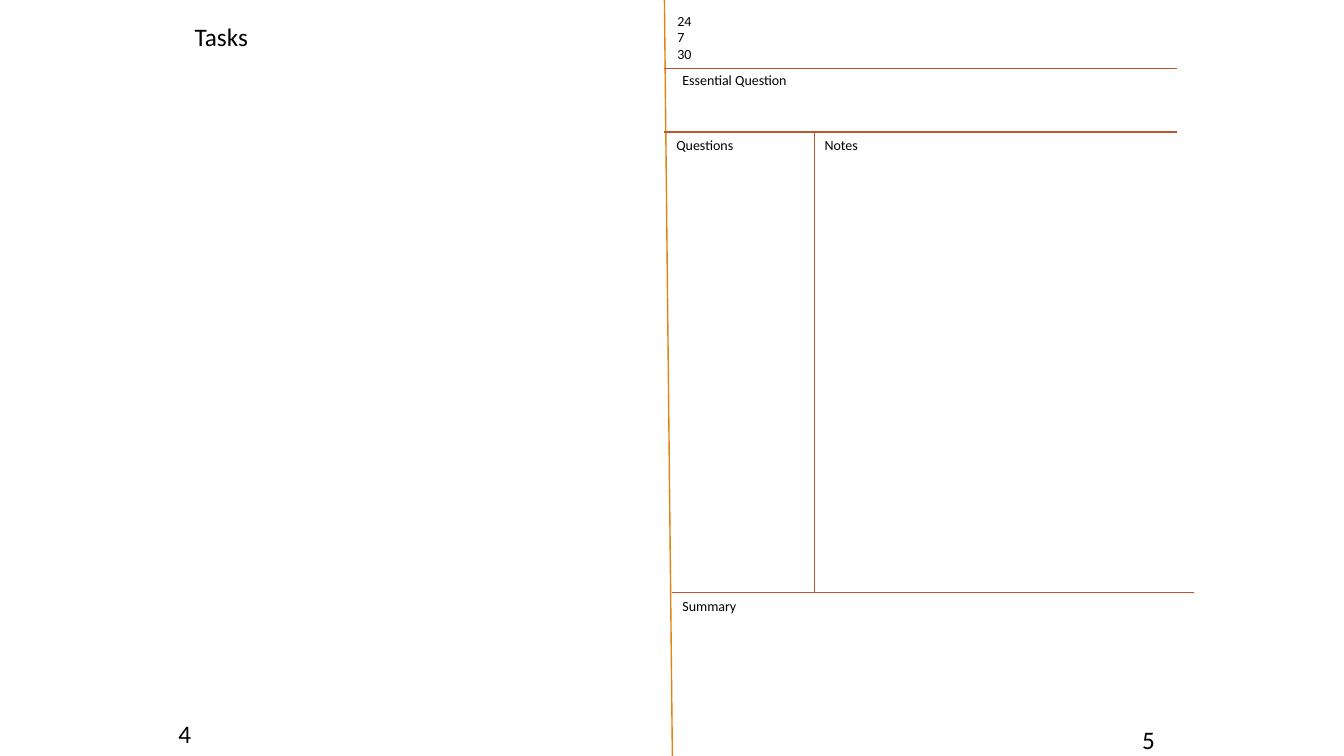
from dataclasses import dataclass

from lxml.etree import SubElement
from pptx import Presentation
from pptx.dml.color import RGBColor
from pptx.enum.shapes import MSO_CONNECTOR
from pptx.enum.text import MSO_ANCHOR, MSO_AUTO_SIZE, PP_ALIGN
from pptx.oxml.ns import qn
from pptx.shapes.base import BaseShape
from pptx.slide import Slide
from pptx.util import Emu, Pt

EMU_PER_PX = 9144  # 100 px to the inch


@dataclass(frozen=True)
class Theme:
    font: str = "Calibri"
    text: RGBColor = RGBColor(0x00, 0x00, 0x00)
    fold: RGBColor = RGBColor(0xE4, 0x83, 0x12)
    rule: RGBColor = RGBColor(0xBD, 0x58, 0x2C)
    large: Pt = Pt(18)
    small: Pt = Pt(10)
    line_width: Pt = Pt(1)


THEME = Theme()


@dataclass(frozen=True)
class Line:
    x1: int
    y1: int
    x2: int
    y2: int
    color: RGBColor = THEME.rule


@dataclass(frozen=True)
class Label:
    text: str
    left: int
    top: int
    width: int
    height: int = 27
    size: Pt = THEME.small
    wrap: bool = False


PAGE_LEFT, PAGE_RIGHT = 659, 1167
QUESTION_TOP, NOTES_TOP, SUMMARY_TOP = 68, 131, 588
NOTES_LEFT, SUMMARY_LEFT = 808, 667

LINES = [
    Line(PAGE_LEFT, 0, SUMMARY_LEFT, 761, THEME.fold),
    Line(PAGE_LEFT, QUESTION_TOP, PAGE_RIGHT, QUESTION_TOP),
    Line(PAGE_LEFT, NOTES_TOP, PAGE_RIGHT, NOTES_TOP),
    Line(SUMMARY_LEFT, SUMMARY_TOP, 1184, SUMMARY_TOP),
    Line(NOTES_LEFT, NOTES_TOP, NOTES_LEFT, SUMMARY_TOP),
]
TITLE = Label("Tasks", 183, 16, 76, 40, THEME.large)
LABELS = [
    Label("4", 167, 708, 33, 40, THEME.large),
    Label("5", 1123, 714, 60, 40, THEME.large, wrap=True),
    Label("24\n7\n30", 662, 7, 47, 61, wrap=True),
    Label("Essential Question", SUMMARY_LEFT, 66, 125),
    Label("Notes", NOTES_LEFT, NOTES_TOP, 54),
    Label("Questions", 661, NOTES_TOP, 78),
    Label("Summary", SUMMARY_LEFT, SUMMARY_TOP, 74),
]


def px(length: int) -> Emu:
    return Emu(length * EMU_PER_PX)


def draw_line(slide: Slide, line: Line) -> None:
    connector = slide.shapes.add_connector(
        MSO_CONNECTOR.STRAIGHT, px(line.x1), px(line.y1), px(line.x2), px(line.y2)
    )
    connector.line.color.rgb = line.color
    connector.line.width = THEME.line_width
    SubElement(connector._element.spPr, qn("a:effectLst"))


def fill_label(shape: BaseShape, label: Label) -> None:
    """Place the shape and give it the label's text and format."""
    shape.left, shape.top = px(label.left), px(label.top)
    shape.width, shape.height = px(label.width), px(label.height)
    frame = shape.text_frame
    frame.text = label.text
    frame.word_wrap = label.wrap
    frame.auto_size = MSO_AUTO_SIZE.SHAPE_TO_FIT_TEXT
    frame.vertical_anchor = MSO_ANCHOR.TOP
    for paragraph in frame.paragraphs:
        paragraph.alignment = PP_ALIGN.LEFT
        paragraph.line_spacing = 1.0
        paragraph.font.name = THEME.font
        paragraph.font.size = label.size
        paragraph.font.color.rgb = THEME.text


def main() -> None:
    presentation = Presentation()
    presentation.slide_width, presentation.slide_height = px(1333), px(750)
    title_only = presentation.slide_layouts[5]
    slide = presentation.slides.add_slide(title_only)
    for line in LINES:
        draw_line(slide, line)
    for label in LABELS:
        fill_label(slide.shapes.add_textbox(0, 0, 0, 0), label)
    fill_label(slide.shapes.title, TITLE)
    presentation.save("out.pptx")


if __name__ == "__main__":
    main()
